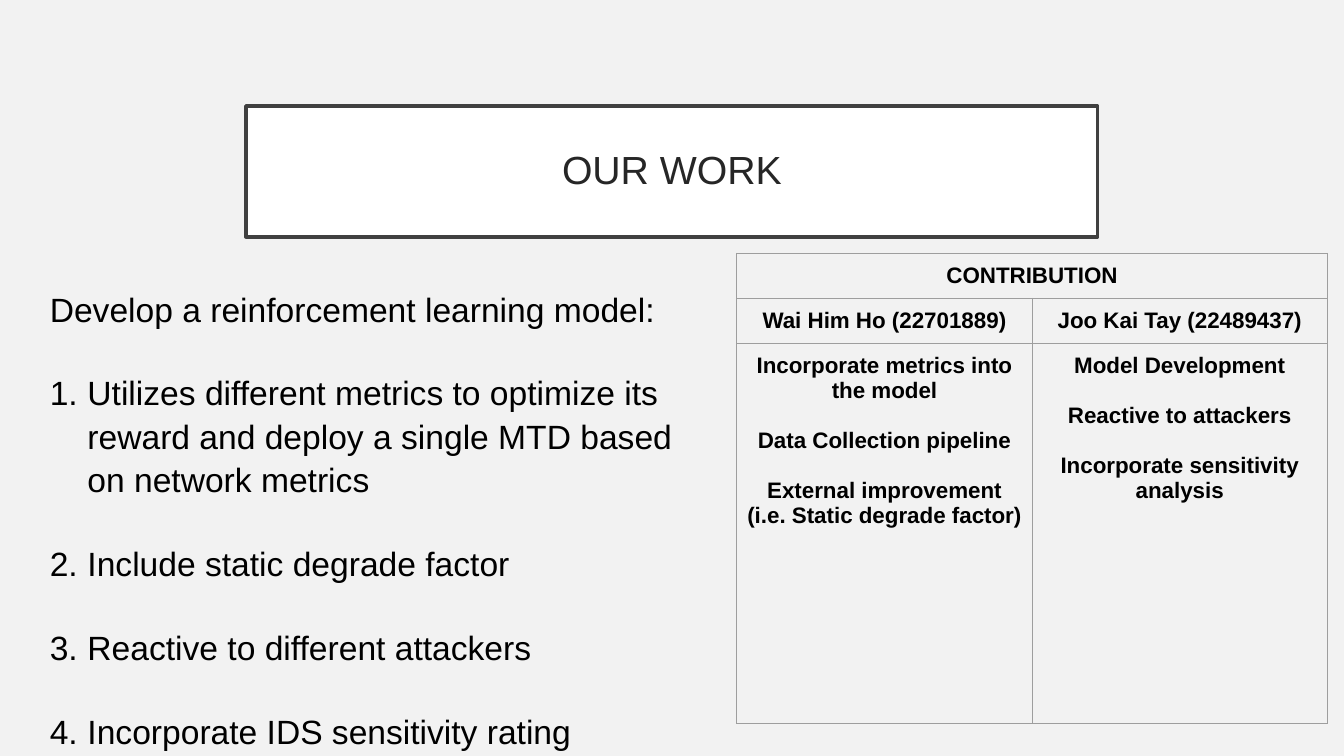
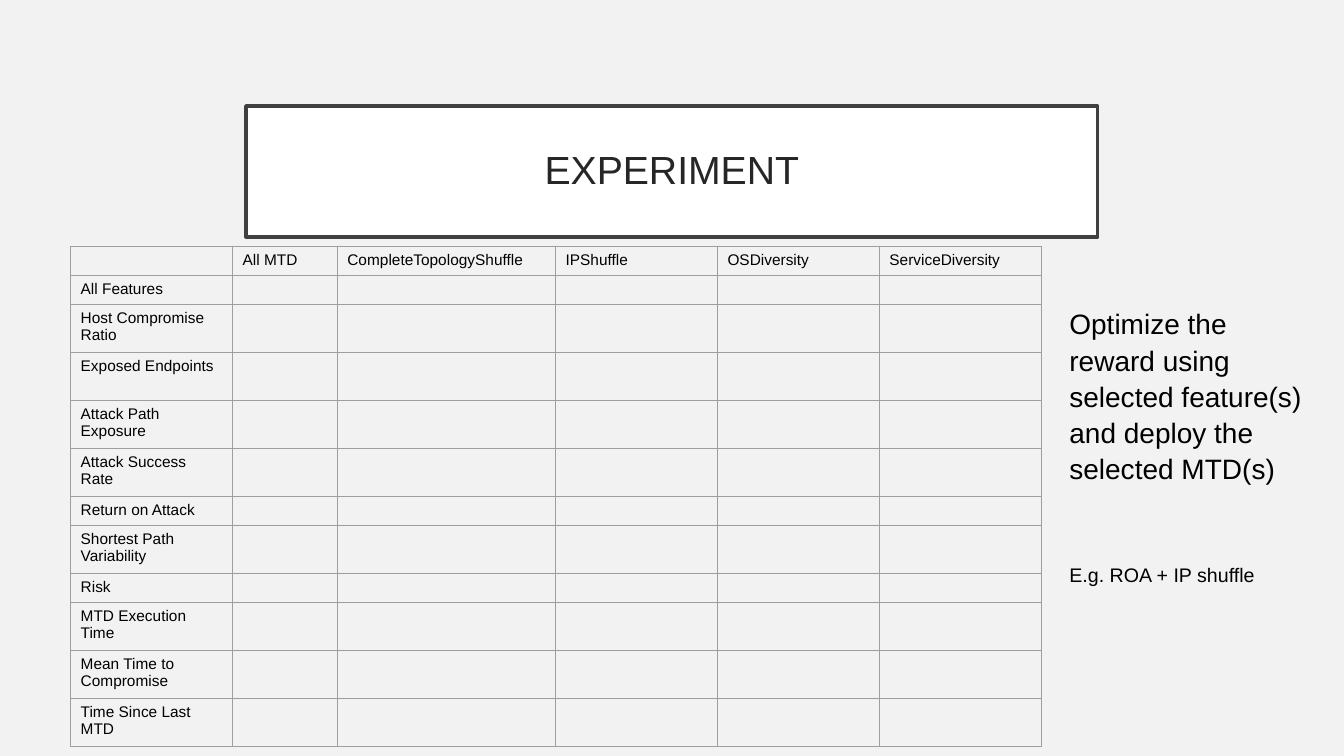
from lxml import etree
from pptx import Presentation
from pptx import util as u
from pptx.dml.color import RGBColor
from pptx.enum import text
from pptx.oxml import ns

Cm, Pt = u.Cm, u.Pt
HUES = {"page": "F2F2F2", "box": "FFFFFF", "edge": "404040",
        "head": "262626", "ink": "000000", "rule": "9E9E9E"}
RGB = {name: RGBColor.from_string(code) for name, code in HUES.items()}
FONT = "Arial"
LEAD = 1.08
MID = text.PP_ALIGN.CENTER


def say(frame, lines, size, hue="ink", bold=False, align=None, lead=None):
    """Write (words, space after in points) pairs as paragraphs."""
    for i, (words, gap) in enumerate(lines):
        para = frame.paragraphs[0] if i == 0 else frame.add_paragraph()
        para.alignment, para.line_spacing = align, lead
        para.space_before, para.space_after = Pt(0), Pt(gap)
        run = para.add_run()
        run.text = words
        run.font.name, run.font.size, run.font.bold = FONT, Pt(size), bold
        run.font.color.rgb = RGB[hue]


def grid(slide, left, top, cols, rows, cells, size, pad=None, **style):
    """Add a ruled, unfilled table; cells maps (row, column) to lines."""
    table = slide.shapes.add_table(len(rows), len(cols), Cm(left), Cm(top),
                                   Cm(sum(cols)), Cm(sum(rows))).table
    table.first_row = table.horz_banding = False
    for col, wide in zip(table.columns, cols):
        col.width = Cm(wide)
    for r, high in enumerate(rows):
        table.rows[r].height = Cm(high)
        for c in range(len(cols)):
            cell = table.cell(r, c)
            cell.fill.background()
            if pad:
                cell.margin_left = cell.margin_right = Cm(pad)
                cell.margin_top = cell.margin_bottom = Cm(pad)
            # Borders come before the fill in the cell properties
            props = cell._tc.get_or_add_tcPr()
            for i, side in enumerate(("lnL", "lnR", "lnT", "lnB")):
                line = etree.Element(ns.qn("a:" + side), w=str(Pt(0.75)))
                fill = etree.SubElement(line, ns.qn("a:solidFill"))
                etree.SubElement(fill, ns.qn("a:srgbClr"), val=HUES["rule"])
                props.insert(i, line)
            if (r, c) in cells:
                say(cell.text_frame, cells[r, c], size, **style)
            else:
                # Small end mark keeps blank rows low
                etree.SubElement(cell.text_frame.paragraphs[0]._p,
                                 ns.qn("a:endParaRPr"), sz=str(size * 100))
    return table


prs = Presentation()
prs.slide_width, prs.slide_height = Cm(33.87), Cm(19.05)
back = prs.slide_master.background.fill
back.solid()
back.fore_color.rgb = RGB["page"]

# Slides with boxed titles
pages = []
for name, kind in (("OUR WORK", 1), ("EXPERIMENT", 5)):
    slide = prs.slides.add_slide(prs.slide_layouts[kind])
    title = slide.shapes.title
    title.left, title.top = Cm(6.2), Cm(2.67)
    title.width, title.height = Cm(21.46), Cm(3.3)
    title.fill.solid()
    title.fill.fore_color.rgb = RGB["box"]
    title.line.color.rgb = RGB["edge"]
    title.line.width = Pt(2.5)
    frame = title.text_frame
    frame.margin_left = frame.margin_right = Cm(0.51)
    frame.margin_top = frame.margin_bottom = Cm(0.51)
    frame.vertical_anchor = text.MSO_ANCHOR.MIDDLE
    frame.auto_size = text.MSO_AUTO_SIZE.NONE
    say(frame, [(name, 0)], 28, "head", align=MID, lead=0.9)
    pages.append(slide)
work, trial = pages

# Our work: who did what
GAP = 17.9
jobs = {
    (0, 0): [("CONTRIBUTION", 0)],
    (1, 0): [("Wai Him Ho (22701889)", 0)],
    (1, 1): [("Joo Kai Tay (22489437)", 0)],
    (2, 0): [("Incorporate metrics into the model", GAP),
             ("Data Collection pipeline", GAP),
             ("External improvement", 0),
             ("(i.e. Static degrade factor)", 0)],
    (2, 1): [("Model Development", GAP),
             ("Reactive to attackers", GAP),
             ("Incorporate sensitivity analysis", 0)],
}
table = grid(work, 18.57, 6.38, [7.44] * 2, [1.14, 1.14, 9.58], jobs, 16,
             pad=0.25, bold=True, align=MID)
table.cell(0, 0).merge(table.cell(0, 1))

# Our work: numbered goals
goals = ["Develop a reinforcement learning model:",
         "Utilizes different metrics to optimize its reward and deploy "
         "a single MTD based on network metrics",
         "Include static degrade factor",
         "Reactive to different attackers",
         "Incorporate IDS sensitivity rating"]
body = work.placeholders[1]
body.left, body.top, body.width, body.height = Cm(1), Cm(7.06), Cm(16.84), Cm(11.53)
body.text_frame.auto_size = text.MSO_AUTO_SIZE.NONE
say(body.text_frame, [(goal, 28.8) for goal in goals], 24, lead=LEAD)
for i, para in enumerate(body.text_frame.paragraphs):
    props = para._p.get_or_add_pPr()
    dent = Cm(0.95) if i else 0
    props.set("marL", str(dent))
    props.set("indent", str(-dent))
    if i:
        etree.SubElement(props, ns.qn("a:buFont"), typeface=FONT)
        etree.SubElement(props, ns.qn("a:buAutoNum"), type="arabicPeriod")
    else:
        etree.SubElement(props, ns.qn("a:buNone"))

# Experiment: features against defences
heads = ["All MTD", "CompleteTopologyShuffle", "IPShuffle", "OSDiversity",
         "ServiceDiversity"]
traits = ["All Features", "Host Compromise Ratio", "Exposed Endpoints",
          "Attack Path Exposure", "Attack Success Rate", "Return on Attack",
          "Shortest Path Variability", "Risk", "MTD Execution Time",
          "Mean Time to Compromise", "Time Since Last MTD"]
low = ("All Features", "Return on Attack", "Risk")
cells = {(0, c): [(head, 0)] for c, head in enumerate(heads, 1)}
cells.update({(r, 0): [(trait, 0)] for r, trait in enumerate(traits, 1)})
rows = [0.72] + [0.72 if trait in low else 1.21 for trait in traits]
grid(trial, 1.78, 6.2, [4.08, 2.64, 5.5] + [4.08] * 3, rows, cells, 11)

# Experiment: side notes
for words, size, top, wide, high, wrap in (
        ("Optimize the reward using selected feature(s) and deploy the "
         "selected MTD(s)", 20, 7.54, 6.63, 4.52, True),
        ("E.g. ROA + IP shuffle", 14, 14.02, 5.26, 0.86, False)):
    note = trial.shapes.add_textbox(Cm(26.7), Cm(top), Cm(wide), Cm(high))
    note.text_frame.word_wrap = wrap
    say(note.text_frame, [(words, 0)], size, lead=LEAD)

prs.save("out.pptx")
